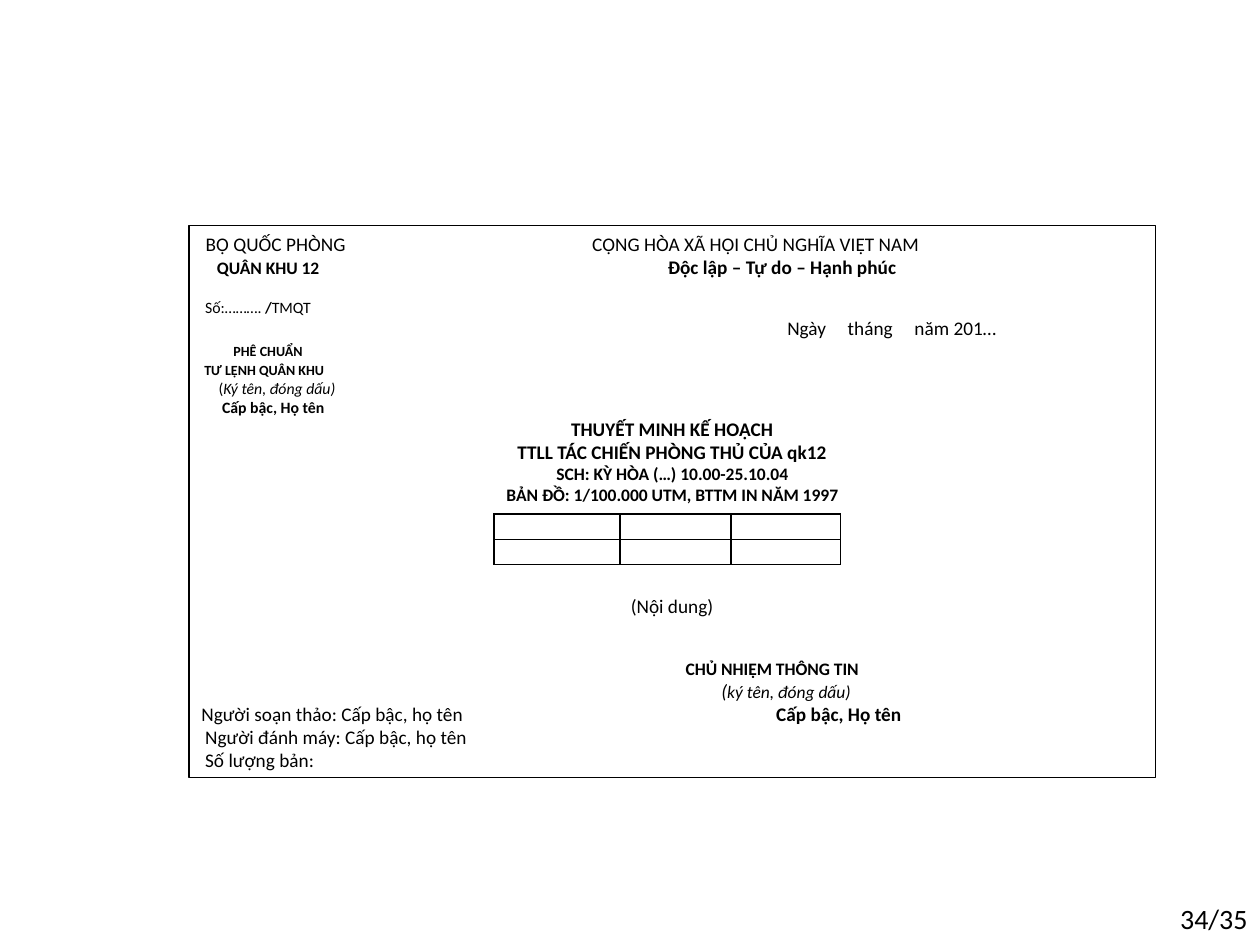
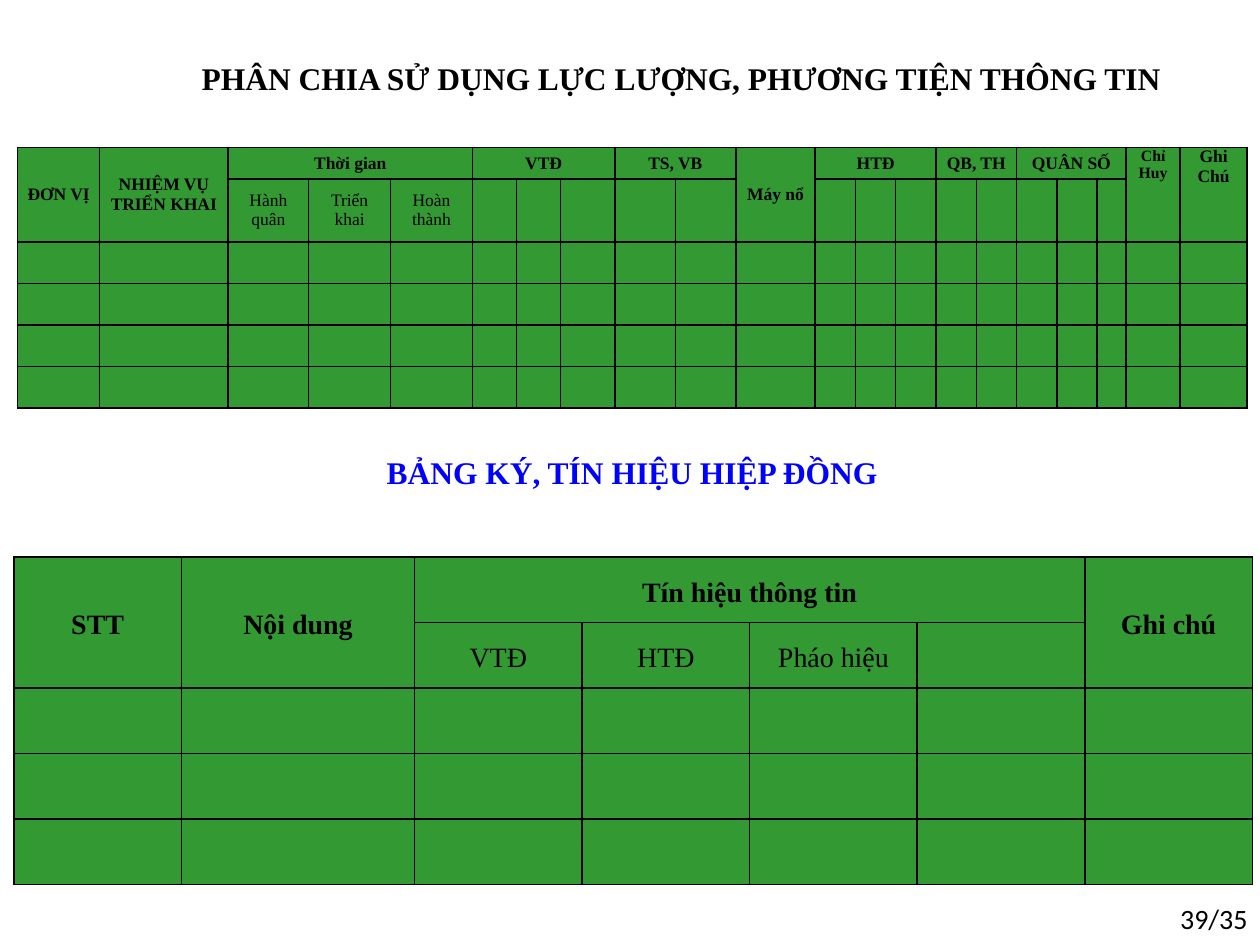
import pptx
import pptx.util
import pptx.dml.color
import pptx.enum.shapes
import pptx.enum.text
import pptx.oxml
import pptx.oxml.ns

Inches, Pt = pptx.util.Inches, pptx.util.Pt
ALIGN = {"l": pptx.enum.text.PP_ALIGN.LEFT, "c": pptx.enum.text.PP_ALIGN.CENTER,
         "r": pptx.enum.text.PP_ALIGN.RIGHT}
ANCHOR = {"t": pptx.enum.text.MSO_ANCHOR.TOP, "m": pptx.enum.text.MSO_ANCHOR.MIDDLE}
W, H = 10, 7.5
COLORS = {"ink": "000000", "paper": "FFFFFF", "cell": "339933", "signal": "0000FF"}
SANS, SERIF = "Calibri", "Times New Roman"
B, I = {"bold": True}, {"italic": True}

FORM_AT = (0.15 * W, 1.79, 7.67, 4.38)
FORM_LINES = [
    {"tabs": [("ctr", 0.59), ("ctr", 4.4)],
     "runs": [("\tBỘ QUỐC PHÒNG\tCỘNG HÒA XÃ HỘI CHỦ NGHĨA VIỆT NAM", 11, {})]},
    {"tabs": [("ctr", 0.53), ("ctr", 4.61)],
     "runs": [("\tQUÂN KHU 12", 10, B), ("\tĐộc lập – Tự do – Hạnh phúc", 11, B)]},
    {"tabs": [("l", 0.03)], "before": 11,
     "runs": [("\tSố:……….", 9, {}), (" /", 9, B), ("TMQT", 9, {})]},
    {"tabs": [("l", 4.65), ("l", 5.13), ("l", 5.66)],
     "runs": [("\tNgày\ttháng\tnăm 201…", 11, {})]},
    {"tabs": [("ctr", 0.53)], "before": 1,
     "runs": [("\t", 9, B), ("PHÊ CHUẨN", 8, B)], },
    {"tabs": [("ctr", 0.5)], "runs": [("\t", 9, B), ("TƯ LỆNH QUÂN KHU", 8, B)]},
    {"tabs": [("ctr", 0.6)], "runs": [("\t(", 9, {}), ("Ký tên, đóng dấu)", 9, I)]},
    {"tabs": [("ctr", 0.57)], "runs": [("\tCấp bậc, Họ tên", 9, B)]},
    {"align": "c", "runs": [("THUYẾT MINH KẾ HOẠCH", 11, B)]},
    {"align": "c", "runs": [("TTLL TÁC CHIẾN PHÒNG THỦ CỦA qk12", 11, B)]},
    {"align": "c", "runs": [("SCH: KỲ HÒA (…) 10.00-25.10.04", 10, B)]},
    {"align": "c", "runs": [("BẢN ĐỒ: 1/100.000 UTM, BTTM IN NĂM 1997", 10, B)]},
    {"align": "c", "before": 51, "runs": [("(Nội dung)", 11, {})]},
    {"tabs": [("ctr", 4.53)], "before": 22,
     "runs": [("\t", 11, {}), ("CHỦ NHIỆM THÔNG TIN", 10, B)]},
    {"tabs": [("ctr", 4.64)], "runs": [("\t(", 11, I), ("ký tên, đóng dấu)", 10, I)]},
    {"tabs": [("ctr", 5.06)],
     "runs": [("Người soạn thảo: Cấp bậc, họ tên", 11, {}), ("\tCấp bậc, Họ tên", 11, B)]},
    {"tabs": [("l", 0.03)], "runs": [("\tNgười đánh máy: Cấp bậc, họ tên", 11, {})]},
    {"tabs": [("l", 0.03)], "runs": [("\tSố lượng bản:", 11, {})]},
]
MAP_GRID = {"at": (3.92, 4.08), "cols": [1, 0.88, 0.87], "rows": [0.2] * 2,
            "fill": "paper", "heads": [], "size": 8}

# row, column, row span, column span, text, format
FORCES = {
    "at": (0.14, 1.17), "fill": "cell", "size": 10,
    "cols": [0.65, 1.02, 0.64, 0.65, 0.65, 0.35, 0.35, 0.43, 0.48, 0.48, 0.63]
            + [0.32] * 7 + [0.23, 0.43, 0.53],
    "rows": [0.25, 0.5] + [0.33] * 4,
    "heads": [
        (0, 0, 2, 1, "ĐƠN VỊ", B), (0, 1, 2, 1, "NHIỆM VỤ TRIỂN KHAI", B),
        (0, 2, 1, 3, "Thời gian", B), (0, 5, 1, 3, "VTĐ", B), (0, 8, 1, 2, "TS, VB", B),
        (0, 10, 2, 1, "Máy nổ", B), (0, 11, 1, 3, "HTĐ", B), (0, 14, 1, 2, "QB, TH", B),
        (0, 16, 1, 3, "QUÂN SỐ", B),
        (0, 19, 2, 1, "Chỉ Huy", {"bold": True, "size": 9, "anchor": "t"}),
        (0, 20, 2, 1, "Ghi Chú", {"bold": True, "anchor": "t"}),
        (1, 2, 1, 1, "Hành quân", {}), (1, 3, 1, 1, "Triển khai", {}),
        (1, 4, 1, 1, "Hoàn thành", {}),
    ],
}
SIGNALS = {
    "at": (0.11, 4.42), "fill": "cell", "size": 16, "spacing": 1.2,
    "cols": [1.33, 1.85] + [1.33] * 5, "rows": [0.52] * 5,
    "heads": [
        (0, 0, 2, 1, "STT", B), (0, 1, 2, 1, "Nội dung", B),
        (0, 2, 1, 4, "Tín hiệu thông tin", B), (0, 6, 2, 1, "Ghi chú", B),
        (1, 2, 1, 1, "VTĐ", {}), (1, 3, 1, 1, "HTĐ", {}), (1, 4, 1, 1, "Pháo hiệu", {}),
    ],
}


def rgb(name):
    return pptx.dml.color.RGBColor.from_string(COLORS[name])


def add_text(p, text, size=11, font=SANS, color="ink", bold=False, italic=False,
             align="l", spacing=None):
    p.alignment = ALIGN[align]
    if spacing:
        p.line_spacing = spacing
    r = p.add_run()
    r.text = text
    r.font.size, r.font.name = Pt(size), font
    r.font.bold, r.font.italic = bold, italic
    r.font.color.rgb = rgb(color)


def place(sp, left, top, width, height):
    sp.left, sp.top, sp.width, sp.height = map(Inches, (left, top, width, height))


def add_label(slide, at, text, wrap=True, **fmt):
    tf = slide.shapes.add_textbox(*map(Inches, at)).text_frame
    tf.word_wrap = wrap
    add_text(tf.paragraphs[0], text, **fmt)


def set_tabs(p, tabs):
    pPr = p._p.get_or_add_pPr()
    lst = pptx.oxml.parse_xml(f"<a:tabLst {pptx.oxml.ns.nsdecls('a')}>" + "".join(
        f'<a:tab pos="{Inches(pos)}" algn="{kind}"/>' for kind, pos in tabs) + "</a:tabLst>")
    pPr.append(lst)


def add_border(cell):
    tcPr = cell._tc.get_or_add_tcPr()
    for i, side in enumerate(("lnL", "lnR", "lnT", "lnB")):
        tcPr.insert(i, pptx.oxml.parse_xml(
            f'<a:{side} {pptx.oxml.ns.nsdecls("a")} w="{Pt(1)}"><a:solidFill>'
            f'<a:srgbClr val="{COLORS["ink"]}"/></a:solidFill></a:{side}>'))


def add_grid(slide, grid):
    cols, rows = grid["cols"], grid["rows"]
    box = map(Inches, (*grid["at"], sum(cols), sum(rows)))
    tbl = slide.shapes.add_table(len(rows), len(cols), *box).table
    tbl.first_row = tbl.horz_banding = False
    for col, width in zip(tbl.columns, cols):
        col.width = Inches(width)
    for row, height in zip(tbl.rows, rows):
        row.height = Inches(height)
    for cell in tbl.iter_cells():
        cell.margin_left = cell.margin_right = Inches(0.07)
        cell.margin_top = cell.margin_bottom = 0
        cell.fill.solid()
        cell.fill.fore_color.rgb = rgb(grid["fill"])
        add_border(cell)
        end = cell.text_frame.paragraphs[0]._p.get_or_add_endParaRPr()
        end.set("sz", "800")
    for row, col, height, width, text, fmt in grid["heads"]:
        cell = tbl.cell(row, col)
        if height * width > 1:
            cell.merge(tbl.cell(row + height - 1, col + width - 1))
        fmt = {"size": grid["size"], "spacing": grid.get("spacing"), **fmt}
        cell.vertical_anchor = ANCHOR[fmt.pop("anchor", "m")]
        add_text(cell.text_frame.paragraphs[0], text, font=SERIF, align="c", **fmt)


def add_form(slide):
    sp = slide.shapes.add_shape(pptx.enum.shapes.MSO_SHAPE.RECTANGLE, *map(Inches, FORM_AT))
    sp.shadow.inherit = False
    sp.fill.solid()
    sp.fill.fore_color.rgb = rgb("paper")
    sp.line.color.rgb, sp.line.width = rgb("ink"), Pt(0.75)
    tf = sp.text_frame
    tf.word_wrap, tf.vertical_anchor = True, ANCHOR["t"]
    for i, line in enumerate(FORM_LINES):
        p = tf.add_paragraph() if i else tf.paragraphs[0]
        p.space_before = Pt(line.get("before", 0))
        set_tabs(p, line.get("tabs", []))
        for text, size, fmt in line["runs"]:
            add_text(p, text, size=size, align=line.get("align", "l"), **fmt)


def add_slide(prs, layout, number):
    slide = prs.slides.add_slide(prs.slide_layouts.get_by_name(layout))
    add_label(slide, (0.9 * W, 7.11, 0.1 * W, 0.4), number, size=16, align="r")
    return slide


def main():
    prs = pptx.Presentation()
    prs.slide_width, prs.slide_height = Inches(W), Inches(H)

    slide = add_slide(prs, "Blank", "34/35")
    add_form(slide)
    add_grid(slide, MAP_GRID)

    slide = add_slide(prs, "Title Only", "39/35")
    title = slide.shapes.title
    place(title, 0.15 * W, 0.42, 7.83, 0.4)
    tf = title.text_frame
    tf.vertical_anchor, tf.auto_size = ANCHOR["t"], pptx.enum.text.MSO_AUTO_SIZE.NONE
    heading = {"size": 18, "font": SERIF, "bold": True}
    add_text(tf.paragraphs[0], "PHÂN CHIA SỬ DỤNG LỰC LƯỢNG, PHƯƠNG TIỆN THÔNG TIN", **heading)
    add_grid(slide, FORCES)
    add_label(slide, (2.97, 3.55, 4.14, 0.4), "BẢNG KÝ, TÍN HIỆU HIỆP ĐỒNG",
              wrap=False, color="signal", **heading)
    add_grid(slide, SIGNALS)
    prs.save("out.pptx")


if __name__ == "__main__":
    main()
